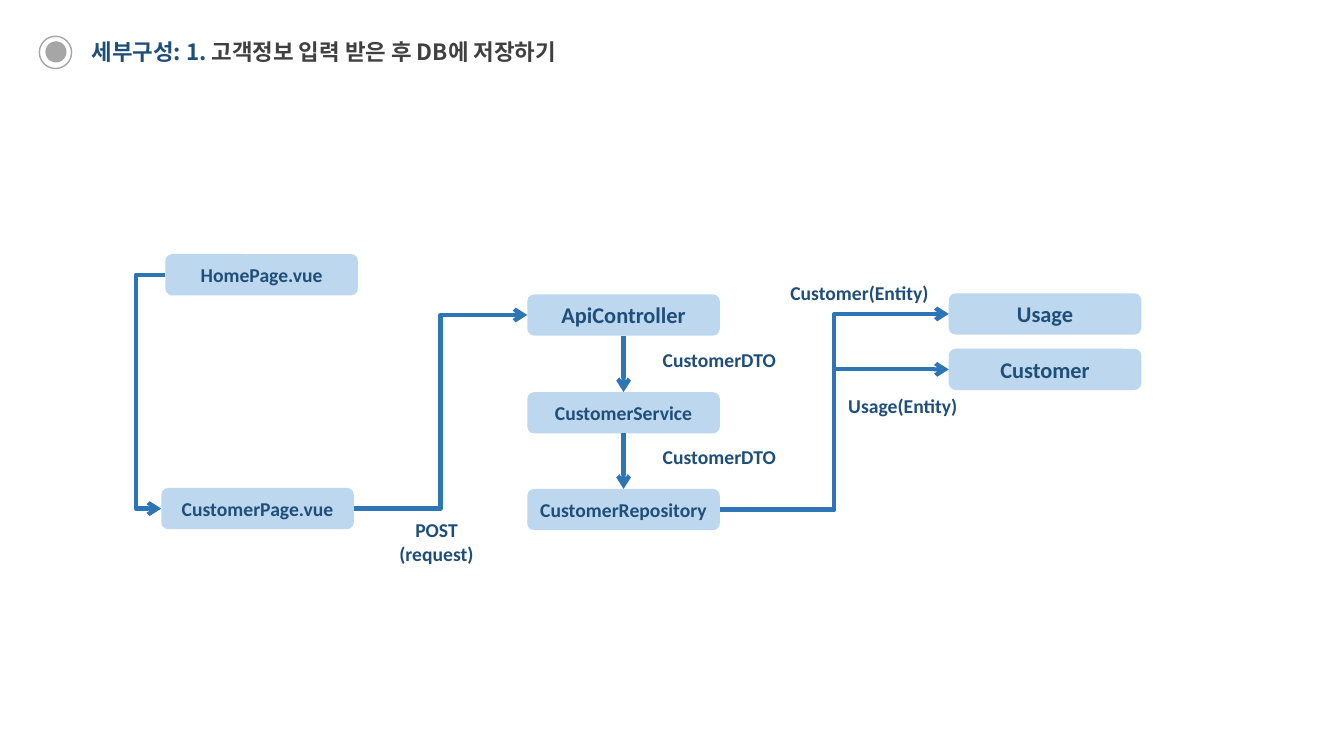
from lxml.etree import SubElement
from pptx import Presentation
from pptx.dml.color import RGBColor
from pptx.enum.shapes import MSO_CONNECTOR as Link, MSO_SHAPE as Shape
from pptx.enum.text import MSO_ANCHOR as Anchor, PP_ALIGN as Align
from pptx.oxml.ns import qn
from pptx.util import Inches, Pt

COLORS = {"navy": "1F4E79", "dark": "404040", "gray": "A6A6A6",
          "box": "BDD7EE", "arrow": "2E75B6"}
LABEL_FONT, TITLE_FONT = "Calibri", "Noto Sans CJK KR"
TITLE = [("세부구성: 1. ", "navy"), ("고객정보 입력 받은 후 DB에 저장하기", "dark")]

BOX_WIDTH, BOX_HEIGHT = 1.91, 0.41
# name: (left, top, text size)
BOXES = {
    "HomePage.vue": (1.64, 2.52, 14),
    "CustomerPage.vue": (1.6, 4.84, 14),
    "ApiController": (5.23, 2.92, 16),
    "CustomerService": (5.23, 3.89, 14),
    "CustomerRepository": (5.23, 4.85, 14),
    "Usage": (9.41, 2.91, 16),
    "Customer": (9.41, 3.46, 16),
}
# lines, left, top, width, height
LABELS = [
    (["CustomerDTO"], 6.32, 3.4, 1.63, 0.34),
    (["CustomerDTO"], 6.32, 4.36, 1.63, 0.34),
    (["Customer(Entity)"], 7.71, 2.73, 1.63, 0.34),
    (["Usage(Entity)"], 8.14, 3.85, 1.63, 0.34),
    (["POST", "(request)"], 3.75, 5.09, 1.16, 0.57),
]
TOP, LEFT, BOTTOM, RIGHT = range(4)
STRAIGHT_ARROWS = [("ApiController", "CustomerService"),
                   ("CustomerService", "CustomerRepository")]
# start, side, end, side, x of the upright part (None is halfway)
BENT_ARROWS = [
    ("HomePage.vue", LEFT, "CustomerPage.vue", LEFT, 1.35),
    ("CustomerPage.vue", RIGHT, "ApiController", LEFT, None),
    ("CustomerRepository", RIGHT, "Usage", LEFT, None),
    ("CustomerRepository", RIGHT, "Customer", LEFT, None),
]


def color(name):
    return RGBColor.from_string(COLORS[name])


def add_filled(kind, fill, *place):
    shape = page.shapes.add_shape(kind, *map(Inches, place))
    shape.shadow.inherit = False
    shape.fill.solid()
    shape.fill.fore_color.rgb = color(fill)
    shape.line.fill.background()
    return shape


def write_label(shape, lines, size):
    frame = shape.text_frame
    frame.word_wrap = True
    frame.vertical_anchor = Anchor.MIDDLE
    frame.margin_left = frame.margin_right = 0
    frame.margin_top = frame.margin_bottom = Inches(0.05)
    frame.text = "\n".join(lines)
    for para in frame.paragraphs:
        para.alignment = Align.CENTER
        para.font.name = LABEL_FONT
        para.font.size = Pt(size)
        para.font.bold = True
        para.font.color.rgb = color("navy")


def side_middle(name, side):
    left, top, _ = BOXES[name]
    across, down = {TOP: (0.5, 0), LEFT: (0, 0.5), BOTTOM: (0.5, 1), RIGHT: (1, 0.5)}[side]
    return left + across * BOX_WIDTH, top + down * BOX_HEIGHT


def add_arrow(kind, start, end):
    arrow = page.shapes.add_connector(kind, *map(Inches, (*start, *end)))
    arrow.line.color.rgb = color("arrow")
    arrow.line.width = Pt(3)
    SubElement(arrow.line._get_or_add_ln(), qn("a:tailEnd"), type="arrow")
    SubElement(arrow._element.spPr, qn("a:effectLst"))
    return arrow


def set_bend(arrow, start_x, end_x, bend_x):
    """Move the upright part of a bent arrow to bend_x."""
    share = round((bend_x - start_x) / (end_x - start_x) * 100000)
    guides = arrow._element.spPr.find(qn("a:prstGeom")).get_or_add_avLst()
    SubElement(guides, qn("a:gd"), name="adj1", fmla=f"val {share}")


def add_title():
    ring = page.shapes.add_shape(Shape.OVAL, *map(Inches, (0.39, 0.36, 0.32, 0.32)))
    ring.shadow.inherit = False
    ring.fill.background()
    ring.line.color.rgb = color("gray")
    ring.line.width = Pt(1)
    add_filled(Shape.OVAL, "gray", 0.45, 0.41, 0.21, 0.21)

    box = page.shapes.add_textbox(*map(Inches, (0.81, 0.33, 5.37, 0.37)))
    box.text_frame.word_wrap = True
    para = box.text_frame.paragraphs[0]
    para.font.name = TITLE_FONT
    para.font.size = Pt(16)
    para.font.bold = True
    SubElement(para.font._element, qn("a:ea"), typeface=TITLE_FONT)
    for text, shade in TITLE:
        span = para.add_run()
        span.text = text
        span.font.color.rgb = color(shade)


deck = Presentation()
deck.slide_width, deck.slide_height = Inches(13.33), Inches(7.5)
page = deck.slides.add_slide(deck.slide_layouts[6])

add_title()

box_shapes = {}
for name, (left, top, size) in BOXES.items():
    box = add_filled(Shape.ROUNDED_RECTANGLE, "box", left, top, BOX_WIDTH, BOX_HEIGHT)
    write_label(box, [name], size)
    box_shapes[name] = box

for upper, lower in STRAIGHT_ARROWS:
    arrow = add_arrow(Link.STRAIGHT, side_middle(upper, BOTTOM), side_middle(lower, TOP))
    arrow.begin_connect(box_shapes[upper], BOTTOM)
    arrow.end_connect(box_shapes[lower], TOP)

for first, first_side, last, last_side, bend_x in BENT_ARROWS:
    start, end = side_middle(first, first_side), side_middle(last, last_side)
    arrow = add_arrow(Link.ELBOW, start, end)
    if bend_x is not None:
        set_bend(arrow, start[0], end[0], bend_x)

for lines, *place in LABELS:
    write_label(page.shapes.add_textbox(*map(Inches, place)), lines, 14)

deck.save("out.pptx")
